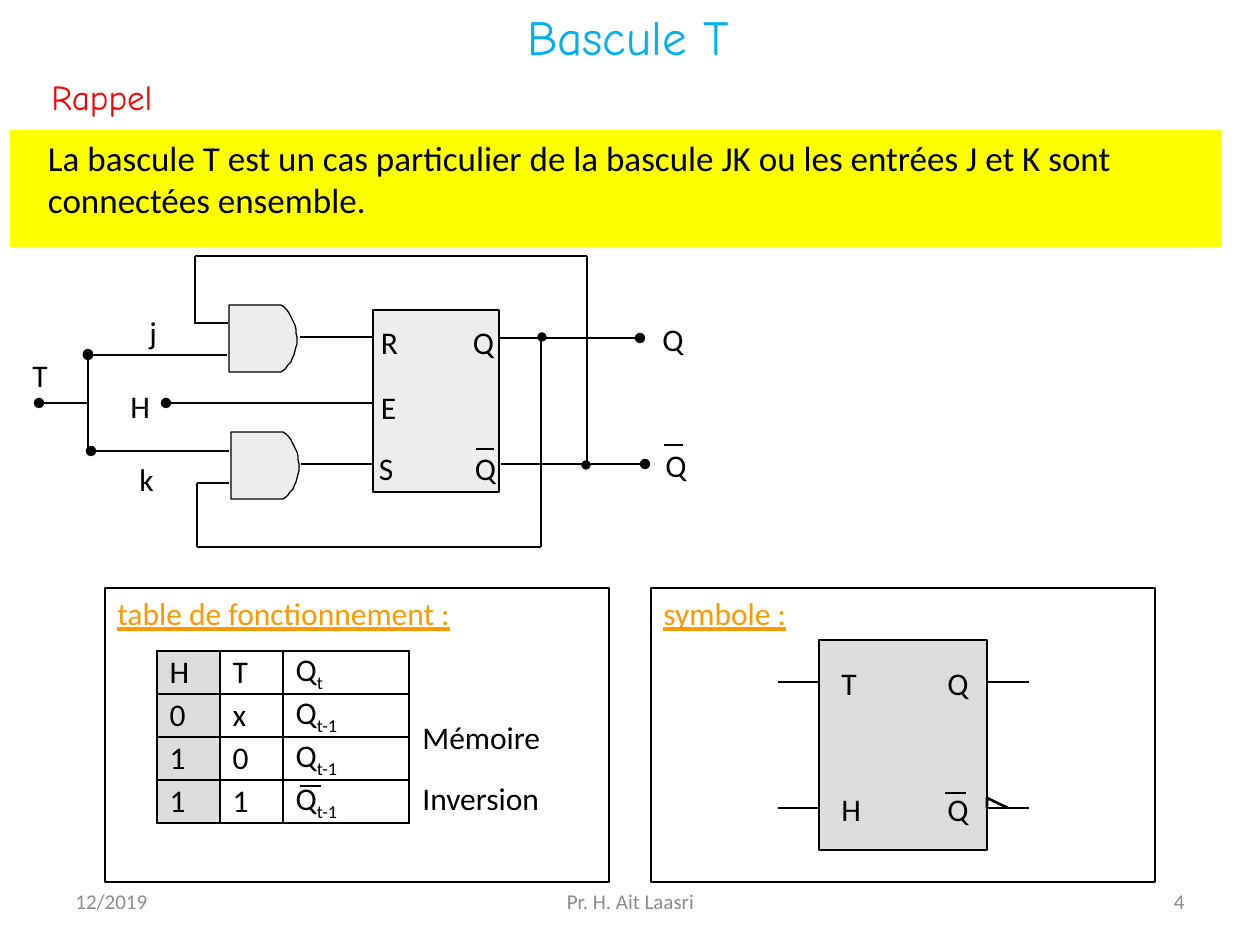
"""Build the T flip-flop slide: circuit, truth table and symbol."""
from lxml.etree import SubElement
from pptx import Presentation
from pptx.dml.color import RGBColor
from pptx.enum.shapes import MSO_CONNECTOR, MSO_SHAPE
from pptx.enum.text import MSO_ANCHOR, PP_ALIGN
from pptx.oxml.ns import qn
from pptx.util import Inches, Pt

SCALE = Inches(1) / 126
BLACK = RGBColor(0x00, 0x00, 0x00)
WHITE = RGBColor(0xFF, 0xFF, 0xFF)
GREY = RGBColor(0xDD, 0xDD, 0xDD)
FOOTER_GREY = RGBColor(0x8C, 0x8C, 0x8C)
YELLOW = RGBColor(0xFF, 0xFF, 0x00)
ORANGE = RGBColor(0xFF, 0x99, 0x00)
RED = RGBColor(0xFF, 0x00, 0x00)
BLUE = RGBColor(0x00, 0xB0, 0xF0)
TOP, MIDDLE = MSO_ANCHOR.TOP, MSO_ANCHOR.MIDDLE
LEFT, CENTER, RIGHT = PP_ALIGN.LEFT, PP_ALIGN.CENTER, PP_ALIGN.RIGHT

presentation = Presentation()
presentation.slide_width, presentation.slide_height = Inches(10), Inches(7.5)
slide = presentation.slides.add_slide(presentation.slide_layouts[5])
shapes = slide.shapes


def add_text(box, words, anchor=TOP, align=LEFT, shape=None, **font):
    """Fill a text box or the given shape with one formatted paragraph."""
    lengths = [round(value * SCALE) for value in box]
    shape = shape or shapes.add_textbox(*lengths)
    shape.left, shape.top, shape.width, shape.height = lengths
    frame = shape.text_frame
    frame.word_wrap, frame.vertical_anchor = True, anchor
    paragraph = frame.paragraphs[0]
    paragraph.alignment = align
    run = paragraph.add_run()
    run.text = words
    run.font.color.rgb = font.pop("color", BLACK)
    for name, value in ({"name": "Calibri", "size": Pt(18)} | font).items():
        setattr(run.font, name, value)
    return shape


def add_line(x1, y1, x2, y2, weight=0.75, dot=False):
    """Draw a straight wire, with an optional dot at its start."""
    ends = [round(value * SCALE) for value in (x1, y1, x2, y2)]
    wire = shapes.add_connector(MSO_CONNECTOR.STRAIGHT, *ends)
    wire.line.color.rgb, wire.line.width = BLACK, Pt(weight)
    if dot:
        SubElement(wire.line._get_or_add_ln(), qn("a:headEnd"), type="oval")
    SubElement(wire._element.spPr, qn("a:effectLst"))


add_text((500, 0, 256, 72), "Bascule T", TOP, CENTER, shapes.title,
         name="Comic Neue", size=Pt(28), color=BLUE)
add_text((39, 69, 134, 55), "Rappel", name="Comic Neue", size=Pt(20), color=RED)
definition = add_text(
    (10, 130, 1211, 117),
    "La bascule T est un cas particulier de la bascule JK ou les entrées J et K "
    "sont connectées ensemble.", size=Pt(20))
definition.fill.solid()
definition.fill.fore_color.rgb = YELLOW
definition.text_frame.margin_left = round(38 * SCALE)

blocks = []
for box, fill, weight in [
    ((105, 588, 504, 294), None, 1),
    ((651, 588, 504, 294), None, 1),
    ((819, 640, 168, 210), GREY, 1.5),
    ((373, 310, 126, 182), GREY, 0.75),
    ((538, 333, 8, 8), BLACK, 0.75),
    ((582, 461, 8, 8), BLACK, 0.75),
]:
    kind = MSO_SHAPE.OVAL if fill == BLACK else MSO_SHAPE.RECTANGLE
    block = shapes.add_shape(kind, *[round(value * SCALE) for value in box])
    blocks.append((block, fill, weight))
latch = blocks[3][0]

half = [((281, 305), (292, 311), (297, 329), (297, 340)),
        ((297, 340), (297, 352), (290, 367), (281, 372))]
curve = []
for corners in half:
    for step in range(11):
        t = step / 10
        weights = ((1 - t) ** 3, 3 * t * (1 - t) ** 2, 3 * t * t * (1 - t), t ** 3)
        curve.append([sum(w * corner[axis] for w, corner in zip(weights, corners))
                      for axis in (0, 1)])
gates = []
for dx, dy in [(0, 0), (2, 127)]:
    builder = shapes.build_freeform(229 + dx, 305 + dy, scale=SCALE)
    builder.add_line_segments([(x + dx, y + dy) for x, y in curve + [(229, 372)]])
    gates.append(builder.convert_to_shape())
    blocks.append((gates[-1], GREY, 0.75))

builder = shapes.build_freeform(987, 808, scale=SCALE)
builder.add_line_segments([(987, 798), (1008, 808)], close=False)
blocks.append((builder.convert_to_shape(), None, 1.5))

for block, fill, weight in blocks:
    block.shadow.inherit = False
    block.line.color.rgb, block.line.width = BLACK, Pt(weight)
    if fill is None:
        block.fill.background()
    else:
        block.fill.solid()
        block.fill.fore_color.rgb = fill
    if block in [latch, *gates]:
        color = block._element.spPr.find(qn("a:solidFill"))[0]
        SubElement(color, qn("a:alpha"), val="50000")

for wire in [
    (300, 337, 373, 337), (301, 464, 373, 464),
    (194, 323, 228, 323), (197, 483, 229, 483),
    (541, 337, 541, 547), (541, 547, 197, 547), (197, 547, 197, 483),
    (587, 464, 587, 256), (587, 256, 195, 256), (195, 256, 195, 323),
]:
    add_line(*wire)
for wire in [
    (640, 338, 499, 338), (645, 464, 501, 464), (88, 355, 227, 355),
    (91, 451, 229, 451), (88, 354, 88, 451), (39, 403, 89, 403),
]:
    add_line(*wire, dot=True)
add_line(166, 403, 373, 403, weight=1, dot=True)

for x, y in [(778, 682), (987, 682), (778, 808), (987, 808)]:
    add_line(x, y, x + 42, y, weight=1.5)

for words, left, top in [("R", 381, 323), ("E", 381, 388), ("S", 379, 449),
                         ("Q", 473, 323), ("Q", 475, 449)]:
    label = add_text((left, top, 22, 38), words, MIDDLE)
    for side in ("left", "right", "top", "bottom"):
        setattr(label.text_frame, "margin_" + side, 0)
for words, left, top in [("j", 137, 307), ("k", 127, 454), ("H", 118, 381),
                         ("T", 20, 350), ("Q", 650, 314), ("Q", 653, 440)]:
    add_text((left, top, 48, 50), words)
for words, left, top in [("T", 829, 662), ("Q", 935, 662),
                         ("H", 829, 788), ("Q", 935, 788)]:
    add_text((left, top, 48, 42), words, MIDDLE)

for words, left, width in [("table de fonctionnement :", 105, 504),
                           ("symbole :", 651, 168)]:
    add_text((left, 588, width, 50), words, color=ORANGE, underline=True)
for words, top in [("Mémoire", 716), ("Inversion", 777)]:
    add_text((410, top, 168, 42), words, MIDDLE)

rows = [("H", "T", "t"), ("0", "x", "t-1"), ("1", "0", "t-1"), ("1", "1", "t-1")]
grid = [round(value * SCALE) for value in (157, 651, 252, 168)]
table = shapes.add_table(4, 3, *grid).table
for column, width in zip(table.columns, (63, 63, 126)):
    column.width = round(width * SCALE)
for row_index, row in enumerate(rows):
    table.rows[row_index].height = round(42 * SCALE)
    for column_index, words in enumerate(row):
        cell = table.cell(row_index, column_index)
        cell.margin_top = cell.margin_bottom = 0
        cell.vertical_anchor = MIDDLE
        paragraph = cell.text_frame.paragraphs[0]
        for part in (("Q", words) if column_index == 2 else (words,)):
            run = paragraph.add_run()
            run.text = part
            run.font.name, run.font.size, run.font.bold = "Calibri", Pt(18), False
            run.font.color.rgb = BLACK
            if part.startswith("t"):
                run.font._element.set("baseline", "-25000")
        thick = {"a:lnL": column_index != 1, "a:lnR": column_index != 0,
                 "a:lnT": row_index < 2, "a:lnB": row_index in (0, 3)}
        for side, is_thick in thick.items():
            border = SubElement(cell._tc.get_or_add_tcPr(), qn(side),
                                w=str(Pt(1.5 if is_thick else 0.75)))
            solid = SubElement(border, qn("a:solidFill"))
            SubElement(solid, qn("a:srgbClr"), val=str(BLACK))
        cell.fill.solid()
        cell.fill.fore_color.rgb = GREY if column_index == 0 else WHITE

for left, top, width in [(476, 449, 18), (664, 445, 19), (945, 793, 21), (300, 786, 21)]:
    add_line(left, top, left + width, top, weight=1.5)

for words, left, width, align in [("12/2019", 63, 294, LEFT), ("4", 903, 294, RIGHT),
                                  ("Pr. H. Ait Laasri", 431, 399, CENTER)]:
    add_text((left, 876, width, 50), words, MIDDLE, align,
             size=Pt(12), color=FOOTER_GREY)

presentation.save("out.pptx")
